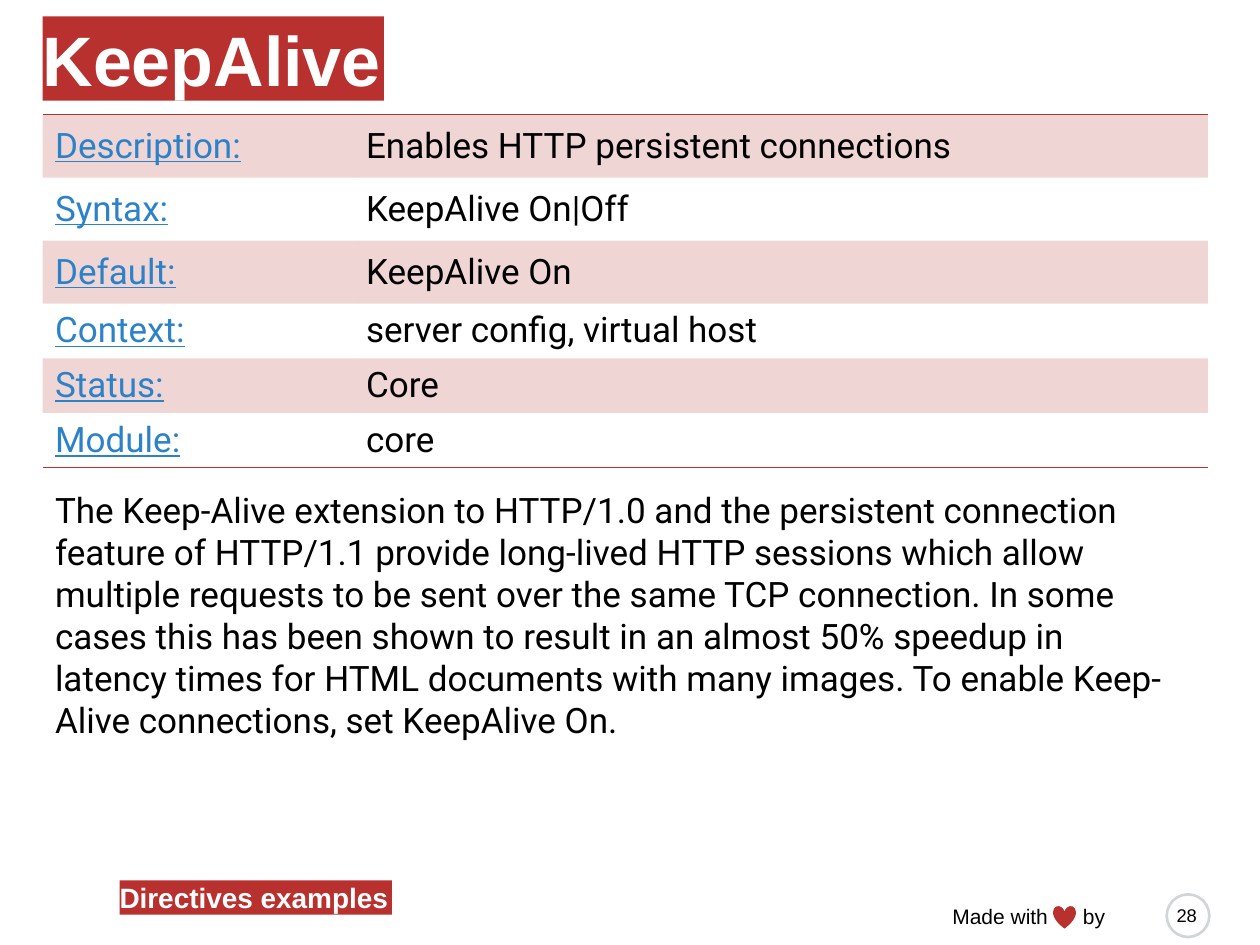
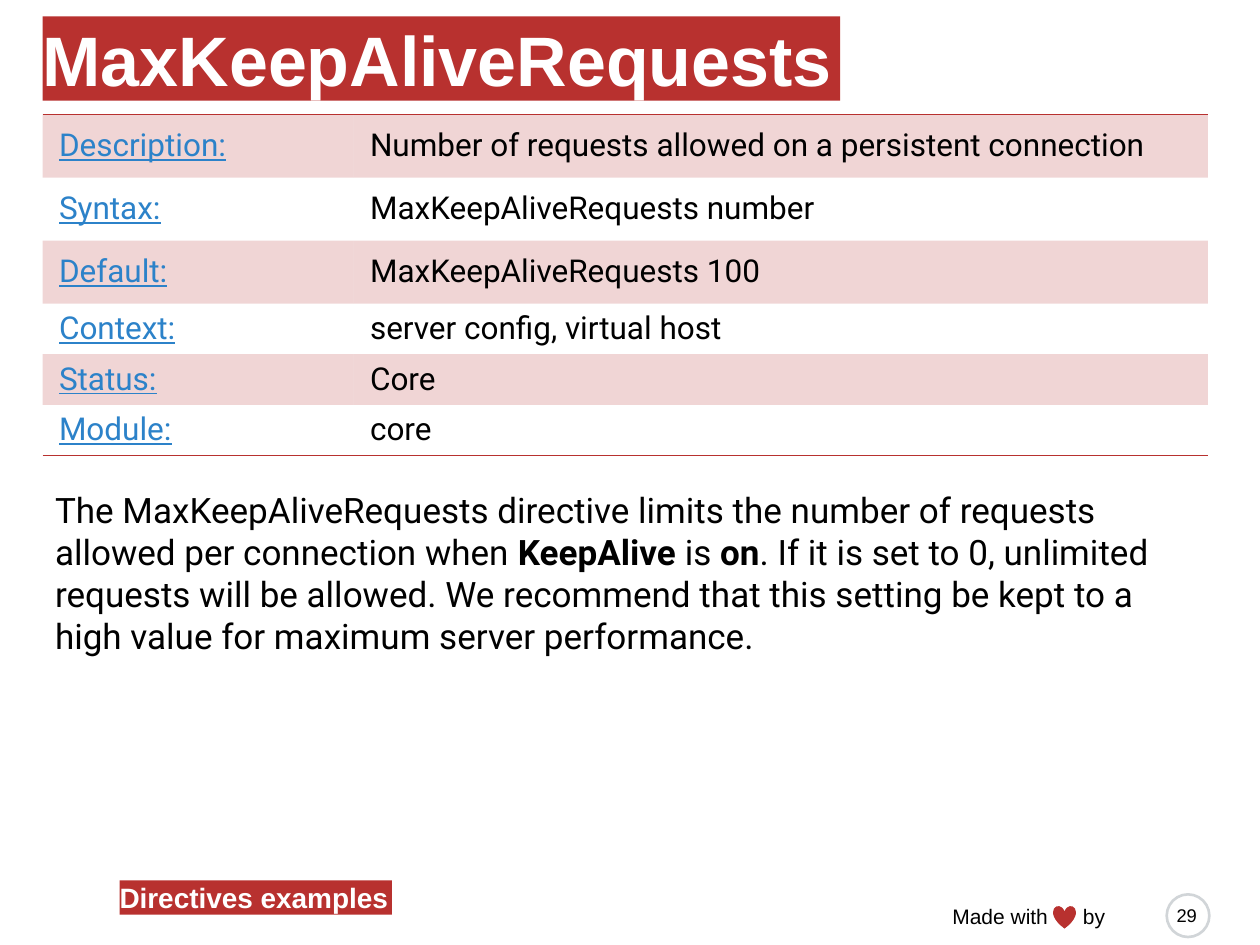
"""Builds two slides that describe the KeepAlive directives of a web server."""
from lxml.etree import SubElement
from pptx import Presentation
from pptx.dml.color import RGBColor
from pptx.enum.shapes import MSO_SHAPE
from pptx.enum.text import MSO_ANCHOR, PP_ALIGN
from pptx.oxml.ns import qn
from pptx.util import Cm, Pt

RED, BLUE, GREY, BLACK, WHITE = "B8312F", "2C82C9", "D1D5D8", "000000", "FFFFFF"
HEAD, BODY = "Arial", "Roboto"
LEFT = 0.86
NO_STYLE = "{2D5ABB26-0587-4C30-8999-92F81FD0307C}"
COLUMNS = (6.27, 17.22)
TALL_ROW, TALL_COUNT = 1.27, 3
SECTION = "Directives examples"
CREDIT = "Made with\tby"
LABELS = ("Description:", "Syntax:", "Default:", "Context:", "Status:", "Module:")

DIRECTIVES = [
    {
        "title": "KeepAlive", "title_width": 6.88, "number": "28",
        "size": 20, "inset": 0.25, "short_row": 1.1, "text_height": 4.52,
        "values": ("Enables HTTP persistent connections", "KeepAlive On|Off",
                   "KeepAlive On", "server config, virtual host", "Core", "core"),
        "text": [
            ("The Keep-Alive extension to HTTP/1.0 and the persistent connection "
             "feature of HTTP/1.1 provide long-lived HTTP sessions which allow "
             "multiple requests to be sent over the same TCP connection. In some "
             "cases this has been shown to result in an almost 50% speedup in "
             "latency times for HTML documents with many images. To enable "
             "Keep-Alive connections, set KeepAlive On.", False),
        ],
    },
    {
        "title": "MaxKeepAliveRequests", "title_width": 16.08, "number": "29",
        "size": 18, "inset": 0.33, "short_row": 1.02, "text_height": 3.68,
        "values": ("Number of requests allowed on a persistent connection",
                   "MaxKeepAliveRequests number", "MaxKeepAliveRequests 100",
                   "server config, virtual host", "Core", "core"),
        "text": [
            ("The MaxKeepAliveRequests directive limits the number of requests "
             "allowed per connection when ", False),
            ("KeepAlive", True), (" is ", False), ("on", True),
            (". If it is set to 0, unlimited requests will be allowed. We "
             "recommend that this setting be kept to a high value for maximum "
             "server performance.", False),
        ],
    },
]


def rgb(color):
    return RGBColor.from_string(color)


def set_font(p, name, size, color, bold=None, underline=None):
    font = p.font
    font.name, font.size, font.bold, font.underline = name, Pt(size), bold, underline
    font.color.rgb = rgb(color)


def add_text(s, box, runs, name, size, color=BLACK, tab=None):
    sp = s.shapes.add_textbox(*map(Cm, box))
    tf = sp.text_frame
    tf.word_wrap = True
    p = tf.paragraphs[0]
    if tab:
        tabs = SubElement(p._p.get_or_add_pPr(), qn("a:tabLst"))
        SubElement(tabs, qn("a:tab"), pos=str(Cm(tab)), algn="l")
    set_font(p, name, size, color)
    for text, bold in runs:
        r = p.add_run()
        r.text = text
        if bold:
            r.font.bold = True
    return sp


def add_band(s, box, text, size):
    sp = add_text(s, box, [(text, True)], HEAD, size, WHITE)
    sp.fill.solid()
    sp.fill.fore_color.rgb = rgb(RED)
    tf = sp.text_frame
    tf.word_wrap = False
    tf.vertical_anchor = MSO_ANCHOR.MIDDLE
    tf.margin_left = tf.margin_right = tf.margin_top = tf.margin_bottom = 0
    tf.paragraphs[0].alignment = PP_ALIGN.LEFT


def add_mark(s, kind, box, fill, line=None):
    sp = s.shapes.add_shape(kind, *map(Cm, box))
    sp.shadow.inherit = False
    sp.fill.solid()
    sp.fill.fore_color.rgb = rgb(fill)
    if line:
        sp.line.color.rgb = rgb(line)
        sp.line.width = Pt(1.5)
    else:
        sp.line.fill.background()


def add_footer(s, number):
    add_mark(s, MSO_SHAPE.OVAL, (23.52, 18.03, 0.86, 0.86), WHITE, GREY)
    add_text(s, (18.95, 18.08, 4.27, 0.76), [(CREDIT, False)], HEAD, 12, tab=2.63)
    add_mark(s, MSO_SHAPE.HEART, (21.23, 18.26, 0.46, 0.46), RED)
    add_text(s, (23.47, 18.11, 1.14, 1.02), [(number, False)], HEAD, 10.5)
    add_band(s, (2.41, 17.75, 5.49, 0.69), SECTION, 16)


def add_border(cell, side):
    ln = SubElement(cell._tc.get_or_add_tcPr(), qn(f"a:{side}"), w=str(Pt(1)))
    SubElement(SubElement(ln, qn("a:solidFill")), qn("a:srgbClr"), val=RED)


def fill_cell(cell, shaded):
    if not shaded:
        cell.fill.background()
        return
    cell.fill.solid()
    cell.fill.fore_color.rgb = rgb(RED)
    color = cell._tc.tcPr.find(f"{qn('a:solidFill')}/{qn('a:srgbClr')}")
    SubElement(color, qn("a:alpha"), val="20000")


def add_properties(s, values, size, inset, short_row):
    last = len(LABELS) - 1
    heights = [TALL_ROW if i < TALL_COUNT else short_row for i in range(last + 1)]
    box = (LEFT, 2.31, sum(COLUMNS), sum(heights))
    table = s.shapes.add_table(last + 1, 2, *map(Cm, box)).table
    table.first_row = table.horz_banding = False
    table._tbl.tblPr.find(qn("a:tableStyleId")).text = NO_STYLE
    for column, width in zip(table.columns, COLUMNS):
        column.width = Cm(width)
    for i, pair in enumerate(zip(LABELS, values)):
        table.rows[i].height = Cm(heights[i])
        for j, text in enumerate(pair):
            cell = table.cell(i, j)
            cell.text = text
            cell.vertical_anchor = MSO_ANCHOR.MIDDLE
            cell.margin_left = cell.margin_right = Cm(inset)
            is_label = j == 0
            set_font(cell.text_frame.paragraphs[0], BODY, size,
                     BLUE if is_label else BLACK, underline=is_label)
            if i == 0:
                add_border(cell, "lnT")
            if i == last:
                add_border(cell, "lnB")
            fill_cell(cell, i % 2 == 0)


def main():
    prs = Presentation()
    prs.slide_width, prs.slide_height = Cm(25.4), Cm(19.05)
    for d in DIRECTIVES:
        s = prs.slides.add_slide(prs.slide_layouts[6])
        add_footer(s, d["number"])
        add_band(s, (LEFT, 0.33, d["title_width"], 1.7), d["title"], 40)
        add_properties(s, d["values"], d["size"], d["inset"], d["short_row"])
        add_text(s, (LEFT, 9.73, 23.22, d["text_height"]), d["text"], BODY, 20)
    prs.save("out.pptx")


if __name__ == "__main__":
    main()
